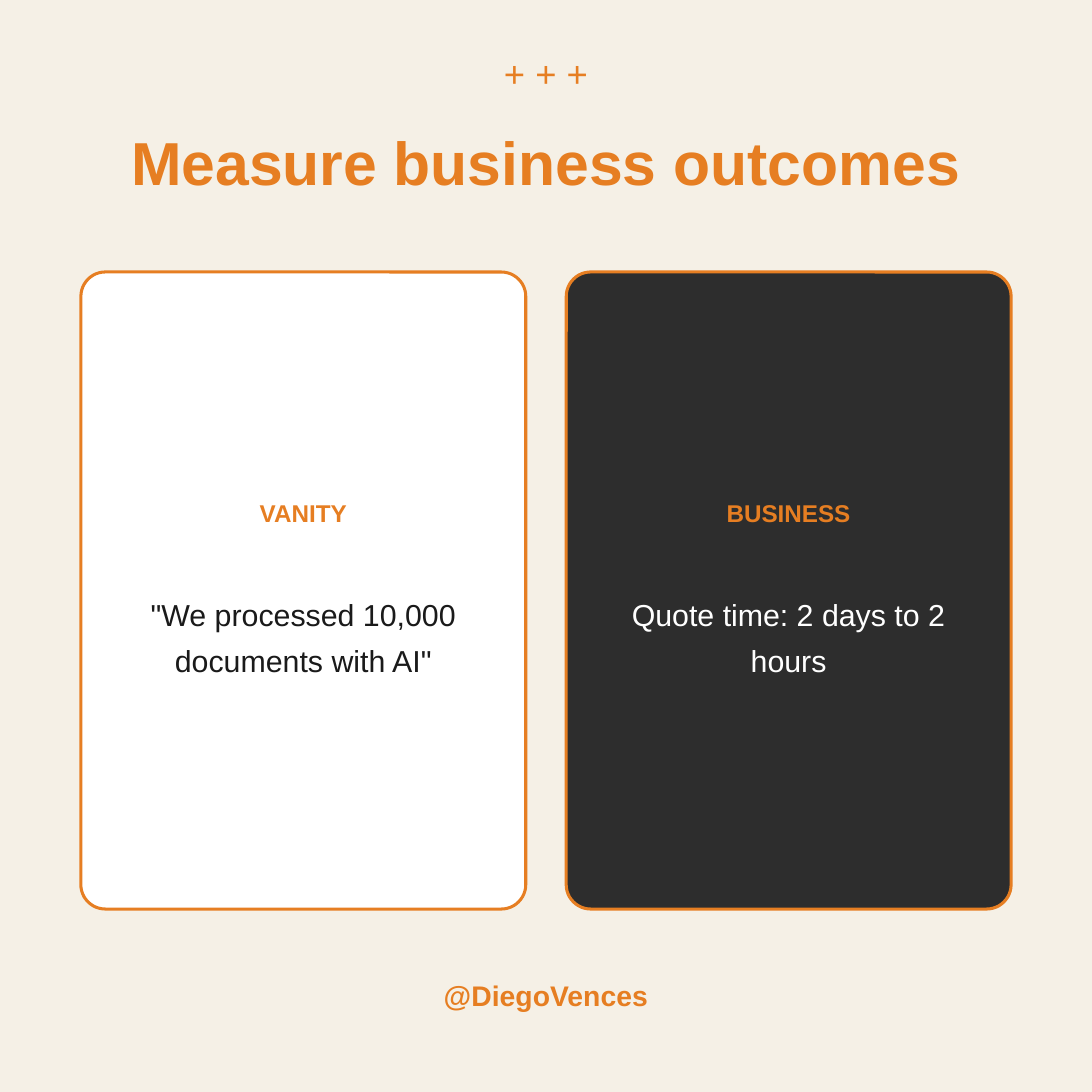
import pptx
import pptx.dml.color
import pptx.enum.shapes
import pptx.enum.text
import pptx.util

Pt = pptx.util.Pt
RGBColor = pptx.dml.color.RGBColor

CREAM = RGBColor(0xF5, 0xF0, 0xE6)
ORANGE = RGBColor(0xE6, 0x7E, 0x22)
WHITE = RGBColor(0xFF, 0xFF, 0xFF)
CHARCOAL = RGBColor(0x2D, 0x2D, 0x2D)
INK = RGBColor(0x1A, 0x1A, 0x1A)

SIDE = 540
CARD_WIDTH, CARD_HEIGHT, CARD_GAP, CARD_TOP = 220, 315, 20, 134.5
CARDS = [
    ("VANITY", '"We processed 10,000 documents with AI"', WHITE, INK),
    ("BUSINESS", "Quote time: 2 days to 2 hours", CHARCOAL, WHITE),
]


def write_centred(holder, text, size, color, bold=False, line_spacing=None):
    frame = holder.text_frame
    frame.margin_left = frame.margin_right = frame.margin_top = frame.margin_bottom = 0
    frame.word_wrap = True
    frame.auto_size = pptx.enum.text.MSO_AUTO_SIZE.NONE
    frame.vertical_anchor = pptx.enum.text.MSO_ANCHOR.TOP
    frame.text = text
    paragraph = frame.paragraphs[0]
    paragraph.alignment = pptx.enum.text.PP_ALIGN.CENTER
    if line_spacing:
        paragraph.line_spacing = Pt(line_spacing)
    font = paragraph.font
    font.name, font.size, font.bold = "Arial", Pt(size), bold
    font.color.rgb = color


def add_text(slide, left, top, width, height, *text_style, **options):
    box = slide.shapes.add_textbox(Pt(left), Pt(top), Pt(width), Pt(height))
    write_centred(box, *text_style, **options)


def add_header(slide, left, top, width):
    add_text(slide, left, top, width, 21, "+ + +", 18, ORANGE)
    title = slide.shapes.title
    title.left, title.top = Pt(left + 25), Pt(top + 36)
    title.width, title.height = Pt(width - 50), Pt(34)
    write_centred(title, "Measure business outcomes", 30, ORANGE, bold=True)


def add_card(slide, left, top, width, height, label, measure, fill, ink):
    card = slide.shapes.add_shape(
        pptx.enum.shapes.MSO_SHAPE.ROUNDED_RECTANGLE,
        Pt(left), Pt(top), Pt(width), Pt(height))
    card.adjustments[0] = 0.055
    card.shadow.inherit = False
    card.fill.solid()
    card.fill.fore_color.rgb = fill
    card.line.color.rgb = ORANGE
    card.line.width = Pt(1.5)
    inset = 14.5
    text_width = width - 2 * inset
    add_text(slide, left + inset, top + 112, text_width, 14, label, 12, ORANGE, bold=True)
    add_text(slide, left + inset, top + 156, text_width, 45, measure, 15, ink,
             line_spacing=22.5)


def add_footer(slide, left, top, width):
    add_text(slide, left, top, width, 16.5, "@DiegoVences", 14, ORANGE, bold=True)


def main():
    deck = pptx.Presentation()
    deck.slide_width = deck.slide_height = Pt(SIDE)
    slide = deck.slides.add_slide(deck.slide_layouts.get_by_name("Title Only"))
    slide.background.fill.solid()
    slide.background.fill.fore_color.rgb = CREAM

    add_header(slide, 0, 25.5, SIDE)
    cards_left = (SIDE - len(CARDS) * CARD_WIDTH - (len(CARDS) - 1) * CARD_GAP) / 2
    for index, card in enumerate(CARDS):
        left = cards_left + index * (CARD_WIDTH + CARD_GAP)
        add_card(slide, left, CARD_TOP, CARD_WIDTH, CARD_HEIGHT, *card)
    add_footer(slide, 0, 484, SIDE)
    deck.save("out.pptx")


if __name__ == "__main__":
    main()
